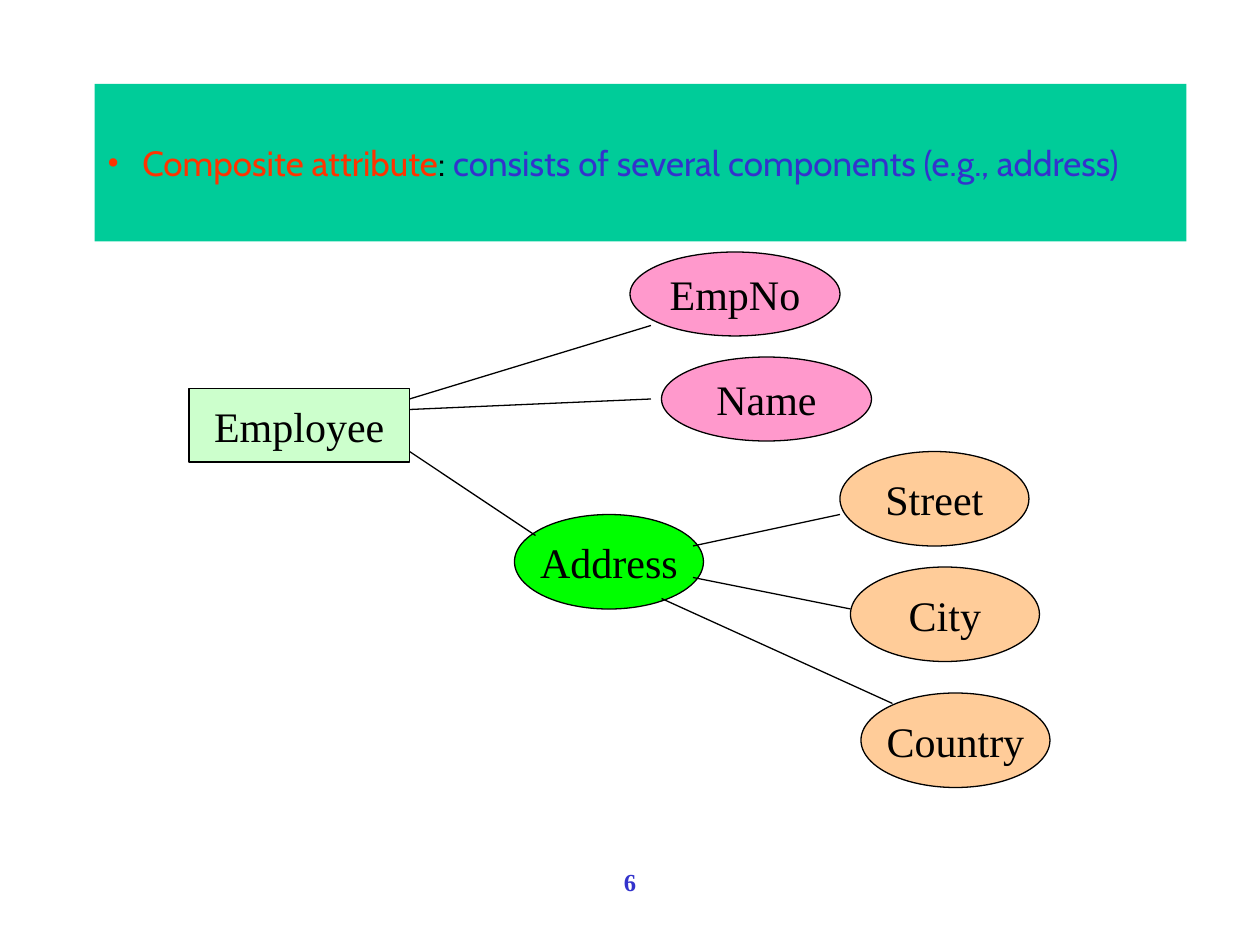
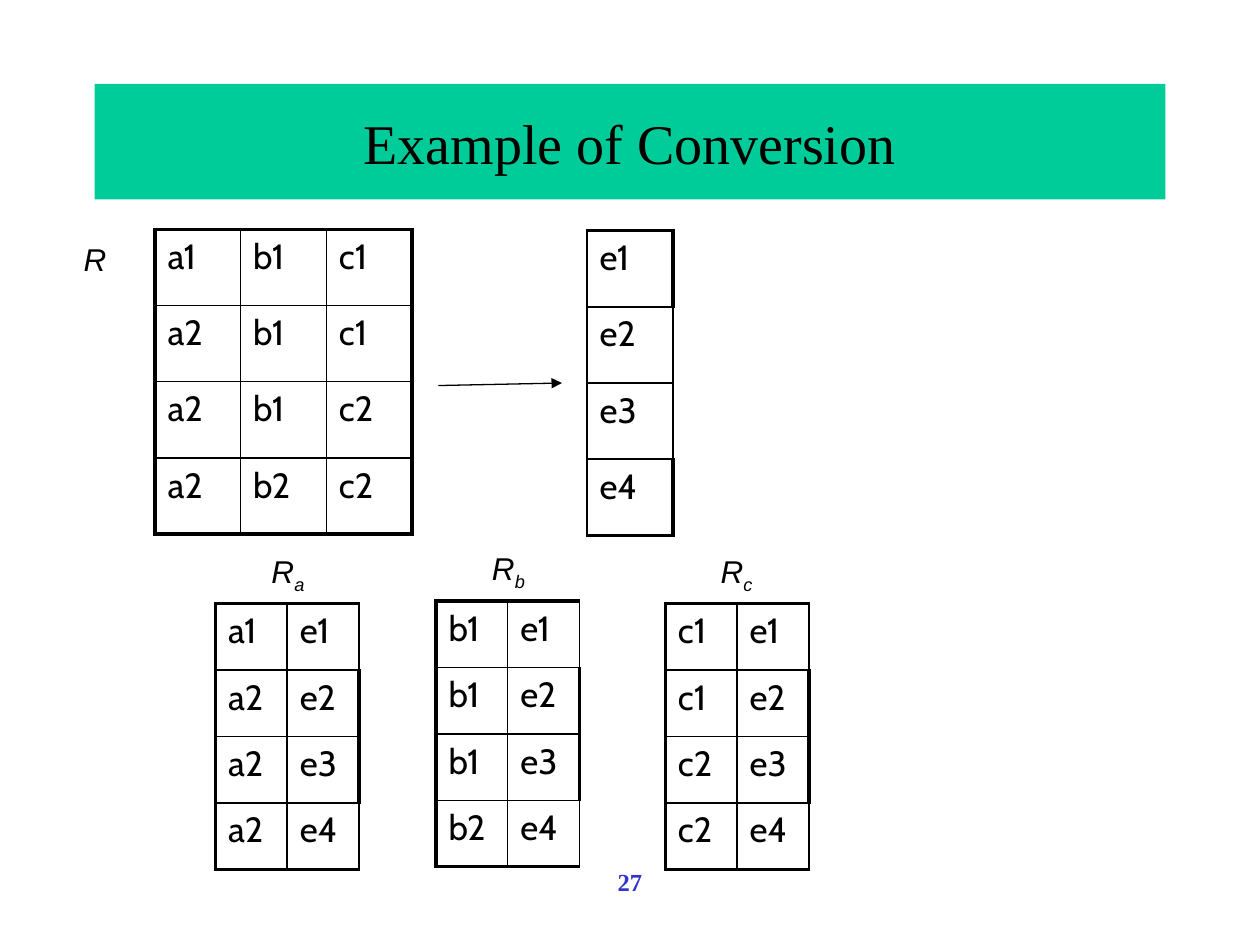
from lxml import etree
from pptx import Presentation
from pptx.dml.color import RGBColor
from pptx.enum.shapes import MSO_CONNECTOR, MSO_SHAPE
from pptx.enum.text import MSO_ANCHOR as Anchor, MSO_AUTO_SIZE as AutoSize, PP_ALIGN as Align
from pptx.oxml import parse_xml
from pptx.oxml.ns import nsdecls, qn
from pptx.util import Inches, Pt

BLACK, WHITE, BLUE, RED = "000000", "FFFFFF", "3333CC", "FF3300"
BAND, MINT, GREEN, PEACH, PINK = "00CC99", "CCFFCC", "00FF00", "FFCC99", "FF99CC"
SERIF, SANS, LABEL = "Times New Roman", "Cabin", "Arial"
THIN, THICK = 1, 2.25


def color(hex_string):
    return RGBColor.from_string(hex_string)


def style(para, size, name, hex_string=BLACK):
    for span in para.runs:
        span.font.size = Pt(size)
        span.font.name = name
        span.font.color.rgb = color(hex_string)


deck = Presentation()
deck.slide_width, deck.slide_height = Inches(10), Inches(7.5)
unit = deck.slide_width // 120  # grid of 120 columns by 90 rows

# Shared: title band and page number
pages = []
for number, (width, height) in (("6", (104, 15)), ("27", (102, 11))):
    page = deck.slides.add_slide(deck.slide_layouts[5])
    pages.append(page)
    page.background.fill.solid()
    page.background.fill.fore_color.rgb = color(WHITE)

    title = page.shapes.title
    title.left, title.top = 9 * unit, 8 * unit
    title.width, title.height = width * unit, height * unit
    title.fill.solid()
    title.fill.fore_color.rgb = color(BAND)
    title.text_frame.auto_size = AutoSize.NONE
    title.text_frame.vertical_anchor = Anchor.MIDDLE

    box = page.shapes.add_textbox(6 * unit, 82 * unit, 108 * unit, 6 * unit)
    box.text_frame.word_wrap = True
    para = box.text_frame.paragraphs[0]
    para.text = number
    para.alignment = Align.CENTER
    style(para, 14, SERIF, BLUE)
    para.runs[0].font.bold = True

diagram_page, tables_page = pages

# Composite attribute: bulleted title in three colours
para = diagram_page.shapes.title.text_frame.paragraphs[0]
para.alignment = Align.LEFT
properties = para._p.get_or_add_pPr()
properties.set("marL", str(Inches(0.28)))
properties.set("indent", str(-Inches(0.28)))
bullet_color = etree.SubElement(properties, qn("a:buClr"))
etree.SubElement(bullet_color, qn("a:srgbClr"), val=RED)
etree.SubElement(properties, qn("a:buFont"), typeface=SERIF)
etree.SubElement(properties, qn("a:buChar"), char="•")
title_parts = (
    ("Composite attribute", RED),
    (": ", BLACK),
    ("consists of several components (e.g., address)", BLUE),
)
for text, _ in title_parts:
    para.add_run().text = text
style(para, 20, SANS)
for span, (_, hex_string) in zip(para.runs, title_parts):
    span.font.color.rgb = color(hex_string)

# Entity and attributes: column, row, width, height on the grid
nodes = (
    ("Employee", MSO_SHAPE.RECTANGLE, MINT, (18, 37, 21, 7)),
    ("EmpNo", MSO_SHAPE.OVAL, PINK, (60, 24, 20, 8)),
    ("Name", MSO_SHAPE.OVAL, PINK, (63, 34, 20, 8)),
    ("Address", MSO_SHAPE.OVAL, GREEN, (49, 49, 18, 9)),
    ("Street", MSO_SHAPE.OVAL, PEACH, (80, 43, 18, 9)),
    ("City", MSO_SHAPE.OVAL, PEACH, (81, 54, 18, 9)),
    ("Country", MSO_SHAPE.OVAL, PEACH, (82, 66, 18, 9)),
)
for text, kind, hex_string, place in nodes:
    node = diagram_page.shapes.add_shape(kind, *(unit * share for share in place))
    node.shadow.inherit = False
    node.fill.solid()
    node.fill.fore_color.rgb = color(hex_string)
    node.line.color.rgb = color(BLACK)
    node.line.width = Pt(0.75)
    node.text_frame.word_wrap = False
    node.text_frame.vertical_anchor = Anchor.MIDDLE
    para = node.text_frame.paragraphs[0]
    para.text = text
    para.alignment = Align.CENTER
    style(para, 24, SERIF)

# Links between the nodes, and the arrow between the tables
links = [
    (diagram_page, [unit * share for share in ends])
    for ends in (
        (39, 38, 62, 31), (39, 39, 62, 38), (39, 43, 51, 51),
        (66, 52, 80, 49), (66, 55, 81, 58), (63, 57, 85, 67),
    )
]
links.append((tables_page, [Inches(end) for end in (3.48, 3.06, 4.46, 3.04)]))
for page, ends in links:
    link = page.shapes.add_connector(MSO_CONNECTOR.STRAIGHT, *ends)
    link.line.color.rgb = color(BLACK)
    link.line.width = Pt(0.75)
    if page is tables_page:
        etree.SubElement(link.line._get_or_add_ln(), qn("a:tailEnd"), type="triangle")
    etree.SubElement(link._element.spPr, qn("a:effectLst"))

# Conversion: title
para = tables_page.shapes.title.text_frame.paragraphs[0]
para.text = "Example of Conversion"
para.alignment = Align.CENTER
style(para, 32, SERIF)

# Tables: left, top, column width, height, left edge, rows with a thick right edge, rows
relation = ("a1 b1 c1", "a2 b1 c1", "a2 b1 c2", "a2 b2 c2")
events = ("e1", "e2", "e3", "e4")
tables = [
    (1.23, 1.82, 0.68, 2.42, THICK, (0, 1, 2, 3), relation),
    (4.66, 1.83, 0.68, 2.42, THIN, (0, 3), events),
]
for index, (left, top) in enumerate(((1.71, 4.79), (3.46, 4.77), (5.28, 4.79))):
    pairs = [f"{row.split()[index]} {event}" for row, event in zip(relation, events)]
    tables.append((left, top, 0.57, 2.11, THICK, (1, 2), pairs))

for left, top, column_width, height, left_edge, thick_rows, rows in tables:
    last_row, last_column = len(rows) - 1, len(rows[0].split()) - 1
    frame = tables_page.shapes.add_table(
        last_row + 1, last_column + 1, Inches(left), Inches(top),
        Inches(column_width * (last_column + 1)), Inches(height))
    table = frame.table
    table.first_row = table.horz_banding = False
    for row, line in enumerate(rows):
        for column, text in enumerate(line.split()):
            cell = table.cell(row, column)
            edges = {
                "L": left_edge if column == 0 else THIN,
                "R": THICK if column == last_column and row in thick_rows else THIN,
                "T": THICK if row == 0 else THIN,
                "B": THICK if row == last_row else THIN,
            }
            for side, weight in edges.items():
                cell._tc.get_or_add_tcPr().append(parse_xml(
                    f'<a:ln{side} {nsdecls("a")} w="{Pt(weight)}"><a:solidFill>'
                    f'<a:srgbClr val="{BLACK}"/></a:solidFill></a:ln{side}>'))
            cell.fill.background()
            para = cell.text_frame.paragraphs[0]
            para.text = text
            style(para, 20, SANS)

# Relation names with subscripts
for left, top, subscript in (
    (0.41, 1.86, ""), (1.94, 4.33, "a"), (3.69, 4.31, "b"), (5.5, 4.33, "c"),
):
    box = tables_page.shapes.add_textbox(Inches(left), Inches(top), Inches(0.69), Inches(0.4))
    box.text_frame.word_wrap = True
    para = box.text_frame.paragraphs[0]
    para.text = "R"
    para.alignment = Align.CENTER
    if subscript:
        span = para.add_run()
        span.text = subscript
        span._r.get_or_add_rPr().set("baseline", "-25000")
    style(para, 18, LABEL)
    for span in para.runs:
        span.font.italic = True

deck.save("out.pptx")
